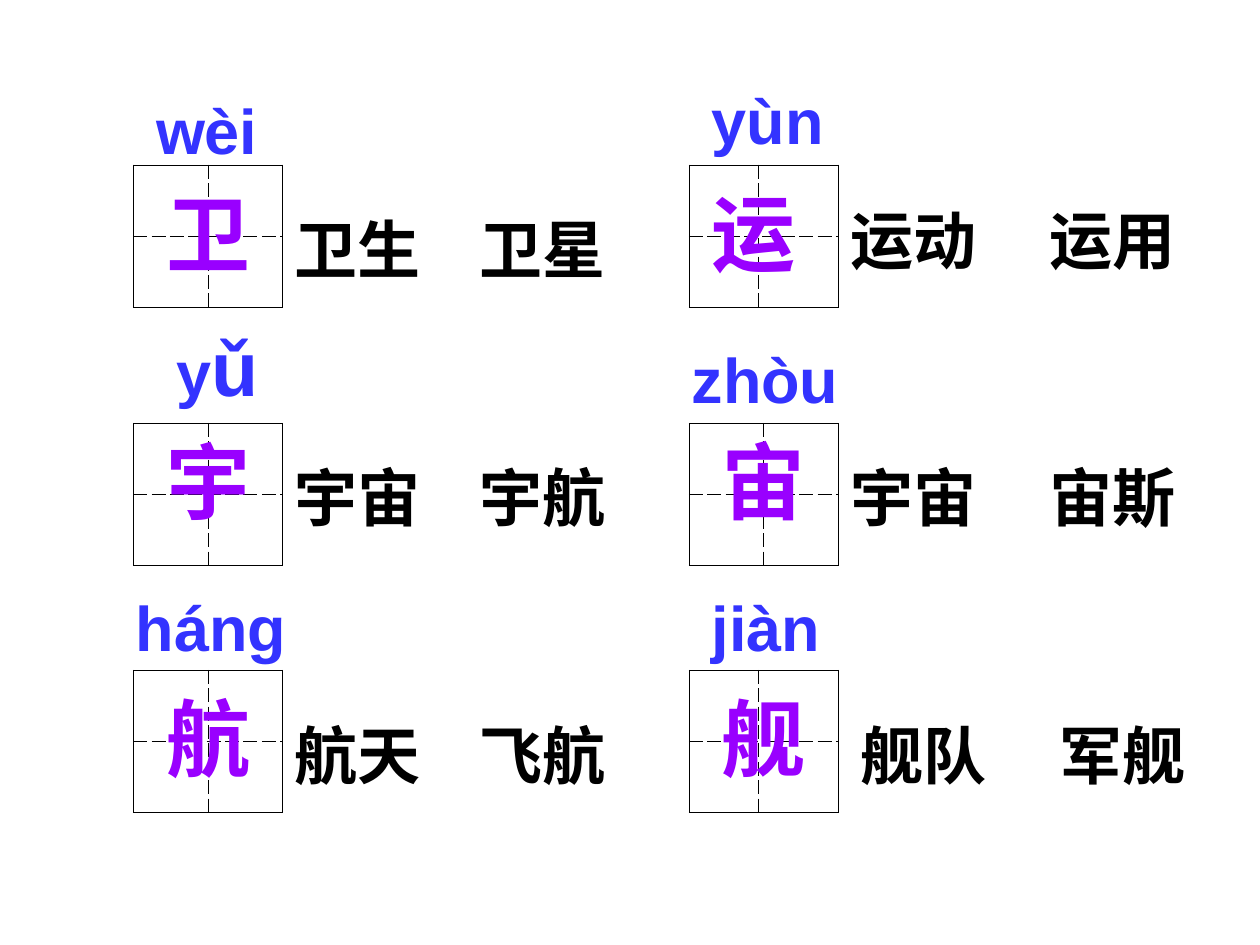
from collections import namedtuple

from lxml import etree
from pptx import Presentation
from pptx.dml.color import RGBColor
from pptx.enum.text import MSO_AUTO_SIZE
from pptx.oxml.ns import qn
from pptx.util import Inches, Pt

FIT_SHAPE = MSO_AUTO_SIZE.SHAPE_TO_FIT_TEXT
BLANK_LAYOUT = 6
COLORS = {"pinyin": "3333FF", "character": "9900FF", "words": "000000", "grid": "000000"}

GRID_WIDTH, GRID_HEIGHT = 1.18, 1.13
GRID_LEFTS = (1.06, 5.47)
GRID_TOPS = (1.31, 3.36, 5.32)
WORD_TABS = (1.47, 1.58)  # second word's offset in each column
FRAME_LINE, GUIDE_LINE = 0.45, 0.34

# Each box is (left, top, width, height); split is the first grid column's width
Entry = namedtuple(
    "Entry", "column row split character character_box pinyin pinyin_box words words_box"
)
ENTRIES = [
    Entry(0, 0, 0.59, "卫", (1.22, 1.39, 1.26, 0.9), [("wèi", 36)],
          (1.14, 0.68, 1.26, 0.7), "卫生\t卫星", (2.24, 1.62, 3.07, 0.7)),
    Entry(1, 0, 0.55, "运", (5.55, 1.39, 0.94, 0.9), [("yùn", 36)],
          (5.55, 0.6, 1.73, 0.7), "运动\t运用", (6.65, 1.55, 3.35, 0.7)),
    Entry(0, 1, 0.59, "宇", (1.22, 3.36, 1.02, 0.9), [("y", 36), ("ǔ", 44)],
          (1.3, 2.49, 1.1, 0.84), "宇宙\t宇航", (2.24, 3.59, 2.99, 0.7)),
    Entry(1, 1, 0.59, "宙", (5.63, 3.36, 1.81, 0.9), [("zhòu", 36)],
          (5.39, 2.65, 1.97, 0.7), "宇宙\t宙斯", (6.65, 3.59, 2.91, 0.7)),
    Entry(0, 2, 0.59, "航", (1.22, 5.4, 1.42, 0.9), [("háng", 36)],
          (0.98, 4.62, 1.81, 0.7), "航天\t飞航", (2.24, 5.64, 3.15, 0.7)),
    Entry(1, 2, 0.55, "舰", (5.63, 5.4, 2.05, 0.9), [("jiàn", 36)],
          (5.55, 4.62, 1.18, 0.7), "舰队\t军舰", (6.73, 5.64, 2.99, 0.7)),
]


def add_border(cell, side, width, dash):
    properties = cell._tc.get_or_add_tcPr()
    line = etree.SubElement(properties, qn(f"a:ln{side}"), w=str(Pt(width)))
    fill = etree.SubElement(line, qn("a:solidFill"))
    etree.SubElement(fill, qn("a:srgbClr"), val=COLORS["grid"])
    etree.SubElement(line, qn("a:prstDash"), val=dash)


def add_writing_grid(page, entry):
    """Square with a solid frame and dashed centre guides."""
    position = (GRID_LEFTS[entry.column], GRID_TOPS[entry.row], GRID_WIDTH, GRID_HEIGHT)
    table = page.shapes.add_table(2, 2, *map(Inches, position)).table
    table.first_row = table.horz_banding = False
    for column, width in zip(table.columns, (entry.split, GRID_WIDTH - entry.split)):
        column.width = Inches(width)
    for row in range(2):
        for column in range(2):
            cell = table.cell(row, column)
            on_frame = {"L": column == 0, "R": column == 1, "T": row == 0, "B": row == 1}
            for side, solid in on_frame.items():
                if solid:
                    add_border(cell, side, FRAME_LINE, "solid")
                else:
                    add_border(cell, side, GUIDE_LINE, "dash")
            cell.fill.background()


def add_text(page, position, spans, color, tab=None):
    """Text box whose spans are (text, size) pairs."""
    box = page.shapes.add_textbox(*map(Inches, position))
    frame = box.text_frame
    frame.word_wrap = True
    frame.auto_size = FIT_SHAPE
    para = frame.paragraphs[0]
    if tab:
        tabs = etree.SubElement(para._p.get_or_add_pPr(), qn("a:tabLst"))
        etree.SubElement(tabs, qn("a:tab"), pos=str(Inches(tab)), algn="l")
    for text, size in spans:
        span = para.add_run()
        span.text = text
        for name, value in {"name": "Arial", "size": Pt(size), "bold": True}.items():
            setattr(span.font, name, value)
        span.font.color.rgb = RGBColor.from_string(COLORS[color])


def main():
    deck = Presentation()
    deck.slide_width, deck.slide_height = Inches(10), Inches(7.5)
    page = deck.slides.add_slide(deck.slide_layouts[BLANK_LAYOUT])

    # Writing grids lie behind the text
    for entry in ENTRIES:
        add_writing_grid(page, entry)

    # Character, pinyin and example words
    for entry in ENTRIES:
        add_text(page, entry.character_box, [(entry.character, 48)], "character")
        add_text(page, entry.pinyin_box, entry.pinyin, "pinyin")
        add_text(page, entry.words_box, [(entry.words, 36)], "words", WORD_TABS[entry.column])

    deck.save("out.pptx")


if __name__ == "__main__":
    main()
